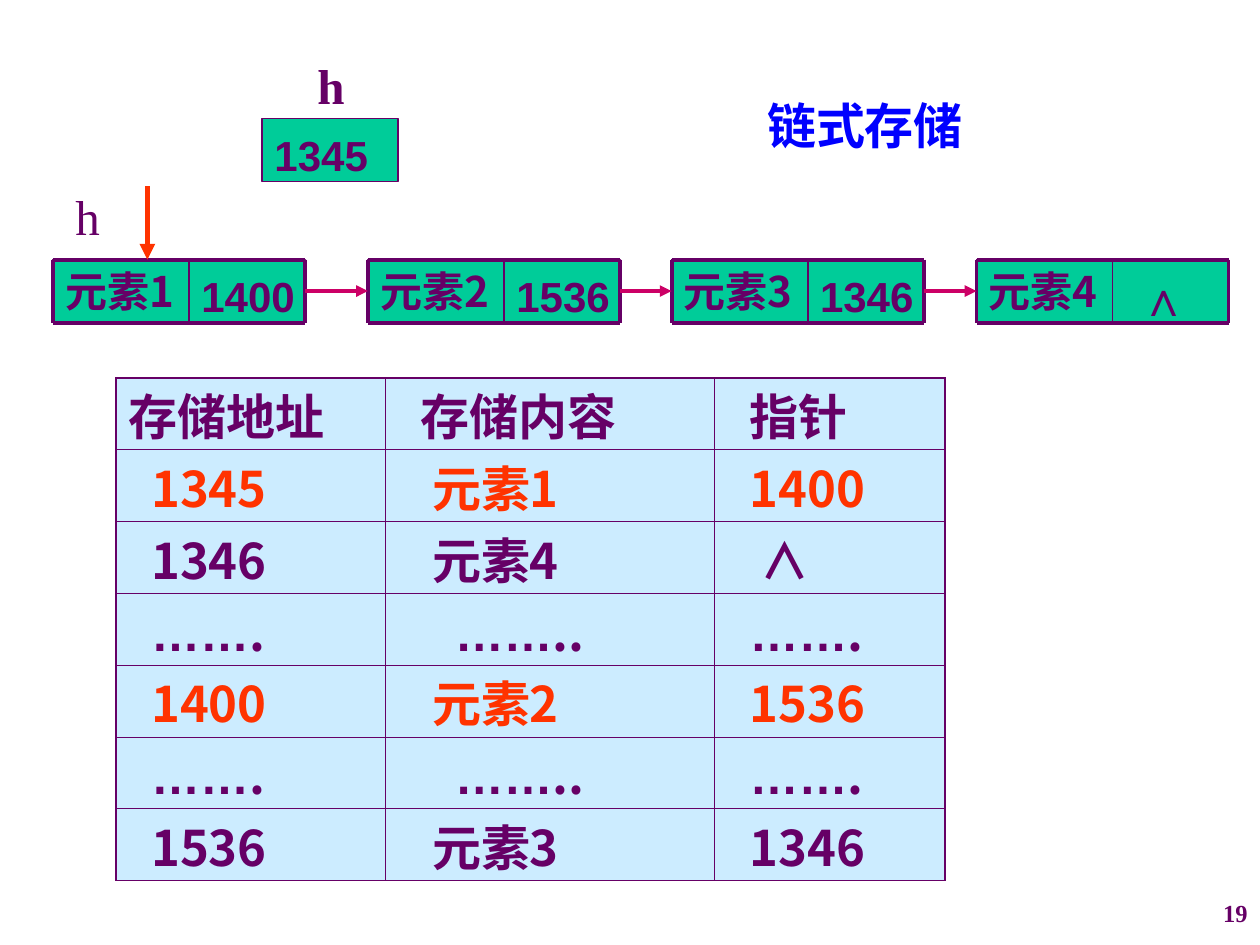
from itertools import pairwise
from lxml import etree
from pptx import Presentation
from pptx.dml.color import RGBColor
from pptx.enum.shapes import MSO_CONNECTOR as Conn, MSO_SHAPE as Shape
from pptx.enum.text import MSO_ANCHOR as Anchor, PP_ALIGN as Align
from pptx.oxml.ns import qn
from pptx.util import Inches, Pt

PLUM = RGBColor(0x66, 0x00, 0x66)
GREEN = RGBColor(0x00, 0xCC, 0x99)
ROSE = RGBColor(0xCC, 0x00, 0x66)
RED = RGBColor(0xFF, 0x33, 0x00)
BLUE = RGBColor(0x00, 0x00, 0xFF)
PALE = RGBColor(0xCC, 0xEC, 0xFF)
SANS, CJK, SERIF = "Arial", "Noto Sans CJK SC", "Times New Roman"

NODES = [
    (0.42, "元素1", "1400"),
    (2.92, "元素2", "1536"),
    (5.33, "元素3", "1346"),
    (7.75, "元素4", "∧"),
]
TOP, TALL, DATA, LINK = 2.06, 0.5, 1.08, 0.92
WIDE = DATA + LINK

ROWS = [
    ("存储地址", "存储内容", "指针"),
    ("1345", "元素1", "1400"),
    ("1346", "元素4", "∧"),
    ("…….", "……..", "……."),
    ("1400", "元素2", "1536"),
    ("…….", "……..", "……."),
    ("1536", "元素3", "1346"),
]
HOT = (1, 4)
COLS = [2.14, 2.61, 1.83]
ROW = 0.57
SPACE = 0.09
LABELS = [
    ("h", 0.5, 1.43, 0.5, 0.57, 28, SERIF, PLUM, False, Align.LEFT),
    ("h", 2.42, 0.39, 0.5, 0.57, 28, SERIF, PLUM, True, Align.LEFT),
    ("链式存储", 5.99, 0.71, 1.9, 0.57, 28, SERIF, BLUE, True, Align.LEFT),
    ("19", 7.67, 6.98, 2.33, 0.52, 14, SERIF, PLUM, True, Align.RIGHT),
]


def style(para, size, name, color, bold=True):
    font = para.font
    font.size, font.name, font.bold = Pt(size), name, bold
    font.color.rgb = color
    if "…" not in para.text:
        ea = etree.SubElement(font._element, qn("a:ea"))
        ea.set("typeface", CJK)


def box(slide, text, x, y, w, size=24, name=SANS, left=0.1, top=0.13):
    rect = slide.shapes.add_shape(
        Shape.RECTANGLE, Inches(x), Inches(y), Inches(w), Inches(TALL))
    rect.shadow.inherit = False
    rect.fill.solid()
    rect.fill.fore_color.rgb = GREEN
    rect.line.color.rgb = PLUM
    rect.line.width = Pt(0.75)
    frame = rect.text_frame
    frame.word_wrap = True
    frame.vertical_anchor = Anchor.MIDDLE
    frame.margin_left, frame.margin_right = Inches(left), 0
    frame.margin_top, frame.margin_bottom = Inches(top), Inches(0.05)
    para = frame.paragraphs[0]
    para.text, para.alignment = text, Align.LEFT
    style(para, size, name, PLUM)


def line(slide, x1, y1, x2, y2, color=PLUM, width=2.25, arrow=False):
    edge = slide.shapes.add_connector(
        Conn.STRAIGHT, Inches(x1), Inches(y1), Inches(x2), Inches(y2))
    edge.line.color.rgb = color
    edge.line.width = Pt(width)
    if arrow:
        tail = etree.SubElement(edge.line._get_or_add_ln(), qn("a:tailEnd"))
        tail.set("type", "triangle")
    etree.SubElement(edge._element.spPr, qn("a:effectLst"))


def node(slide, x, data, link):
    if link == "∧":
        box(slide, link, x + DATA, TOP, LINK, size=28, left=0.21, top=0.15)
    else:
        box(slide, link, x + DATA, TOP, LINK)
    box(slide, data, x, TOP, DATA, name=CJK, top=0.05)
    for y in (TOP, TOP + TALL):
        line(slide, x, y, x + WIDE, y)
    for step, width in ((0, 2.25), (DATA, 1), (WIDE, 2.25)):
        line(slide, x + step, TOP, x + step, TOP + TALL, width=width)


def border(cell, sides):
    props = cell._tc.get_or_add_tcPr()
    for at, (side, outer) in enumerate(sides):
        ln = etree.Element(qn("a:" + side), w=str(Pt(1.08 if outer else 0.45)))
        fill = etree.SubElement(ln, qn("a:solidFill"))
        etree.SubElement(fill, qn("a:srgbClr"), val=str(PLUM))
        props.insert(at, ln)


def spaces(text, r, c):
    if "…" in text and c == 1:
        return 5
    if r == 0:
        return 2 if c else 0
    return 3 if c == 1 or text == "∧" else 2


def grid(slide):
    frame = slide.shapes.add_table(
        len(ROWS), len(COLS), Inches(0.92), Inches(3),
        Inches(sum(COLS)), Inches(ROW * len(ROWS)))
    table = frame.table
    table.first_row = table.horz_banding = False
    for col, wide in zip(table.columns, COLS):
        col.width = Inches(wide)
    for r, row in enumerate(ROWS):
        table.rows[r].height = Inches(ROW)
        for c, text in enumerate(row):
            cell = table.cell(r, c)
            cell.fill.solid()
            cell.fill.fore_color.rgb = PALE
            cell.margin_left = Inches(0.1 + SPACE * spaces(text, r, c))
            cell.margin_top = cell.margin_bottom = 0
            cell.vertical_anchor = Anchor.BOTTOM
            para = cell.text_frame.paragraphs[0]
            dots = text.count("…")
            for part in (text[:dots], text[dots:]):
                if part:
                    run = para.add_run()
                    run.text = part
                    if "…" in part:
                        run.font.name = SANS
            style(para, 28, CJK, RED if r in HOT else PLUM)
            border(cell, (("lnL", c == 0), ("lnR", c == len(COLS) - 1),
                          ("lnT", r == 0), ("lnB", r == len(ROWS) - 1)))


def label(slide, text, x, y, w, h, size, name, color, bold, align):
    frame = slide.shapes.add_textbox(
        Inches(x), Inches(y), Inches(w), Inches(h)).text_frame
    frame.word_wrap = True
    frame.vertical_anchor = Anchor.MIDDLE
    para = frame.paragraphs[0]
    para.text, para.alignment = text, align
    style(para, size, name, color, bold)


def main():
    deck = Presentation()
    deck.slide_width, deck.slide_height = Inches(10), Inches(7.5)
    slide = deck.slides.add_slide(deck.slide_layouts[6])
    for item in NODES:
        node(slide, *item)
    box(slide, "1345", 2.08, 0.94, DATA)
    mid = TOP + TALL / 2
    for prev, cur in pairwise(NODES):
        line(slide, prev[0] + WIDE, mid, cur[0], mid, ROSE, arrow=True)
    grid(slide)
    line(slide, 1.17, 1.48, 1.17, TOP, RED, 3, True)
    for item in LABELS:
        label(slide, *item)
    deck.save("out.pptx")


if __name__ == "__main__":
    main()
